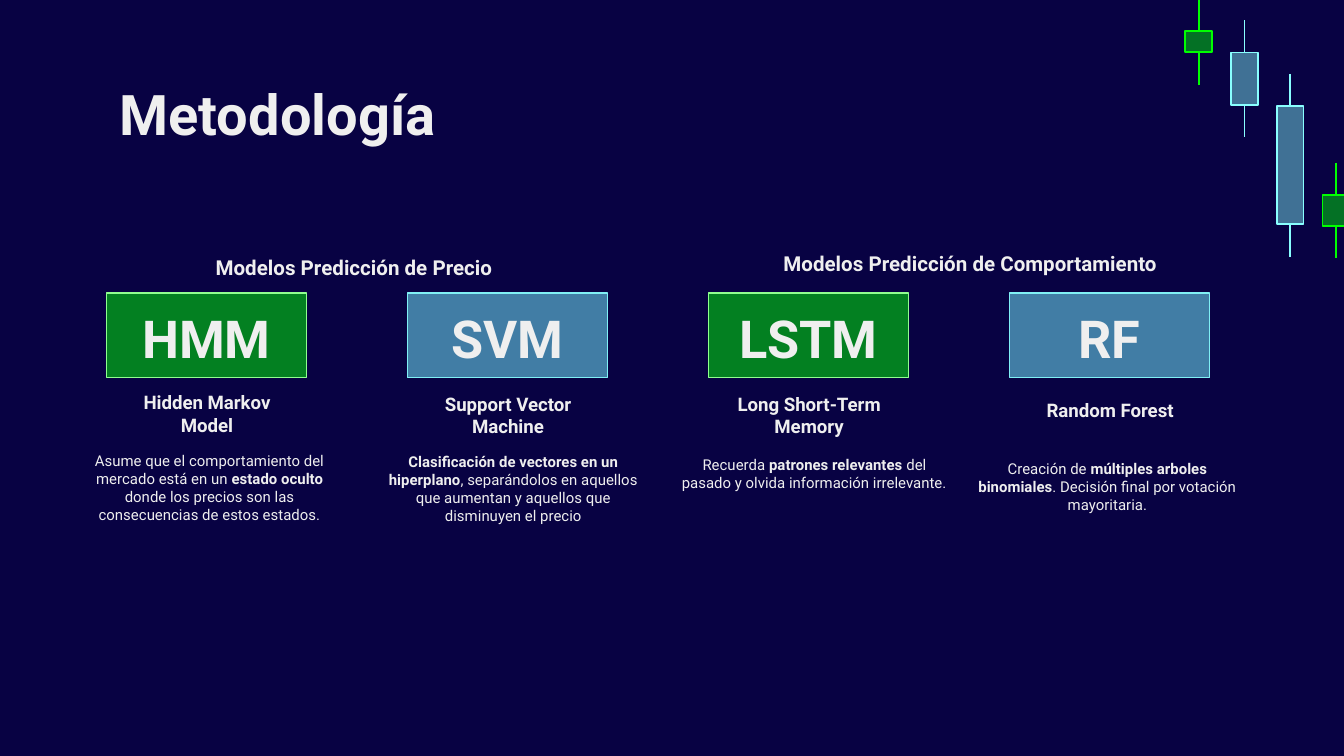
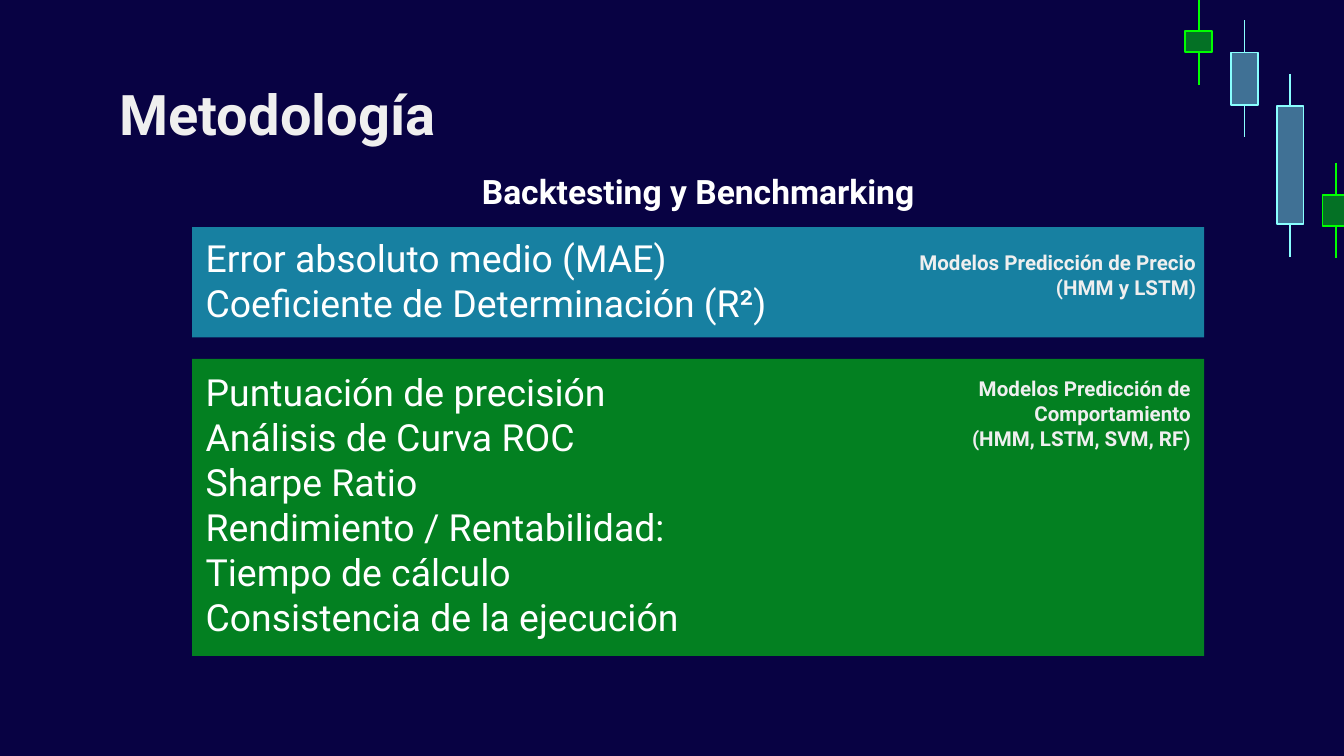
from lxml.etree import SubElement
from pptx import Presentation
from pptx.dml.color import RGBColor
from pptx.enum.shapes import MSO_CONNECTOR, MSO_SHAPE
from pptx.enum.text import MSO_ANCHOR, MSO_AUTO_SIZE, PP_ALIGN
from pptx.oxml.ns import qn
from pptx.util import Inches, Pt

NAVY = RGBColor(0x08, 0x02, 0x43)
PALE = RGBColor(0xEF, 0xEF, 0xEF)
WHITE = RGBColor(0xFF, 0xFF, 0xFF)
GREEN = RGBColor(0x00, 0xFF, 0x00)
MINT = RGBColor(0x90, 0xFF, 0x90)
CYAN = RGBColor(0x89, 0xFF, 0xFF)
AQUA = RGBColor(0x27, 0xFF, 0xFF)
STEEL = RGBColor(0x41, 0x7D, 0xA5)
ICE = RGBColor(0x80, 0xF0, 0xF5)
FONT = "Roboto"

CANDLES = [(0.23, 0.16, GREEN), (0.39, 0.39, CYAN),
           (0.79, 0.88, CYAN), (1.45, 0.23, GREEN)]

CARDS = [
    ("HMM", "Hidden Markov Model", 0.63, -0.34, 1.08,
     "Asume que el comportamiento del mercado está en un *estado oculto *"
     "donde los precios son las consecuencias de estos estados."),
    ("SVM", "Support Vector Machine", 0.64, -0.32, 1.09,
     "*Clasificación de vectores en un hiperplano*, separándolos en aquellos "
     "que aumentan y aquellos que disminuyen el precio"),
    ("LSTM", "Long Short-Term Memory", 0.64, -0.32, 1.11,
     "Recuerda *patrones relevantes *del pasado y olvida información irrelevante."),
    ("RF", "Random Forest", 0.69, -0.38, 1.14,
     "Creación de *múltiples arboles binomiales*. Decisión final por votación "
     "mayoritaria."),
]

PRICE = ["Error absoluto medio (MAE)", "Coeficiente de Determinación (R²)"]
TREND = ["Puntuación de precisión", "Análisis de Curva ROC", "Sharpe Ratio",
         "Rendimiento / Rentabilidad:", "Tiempo de cálculo",
         "Consistencia de la ejecución"]


def write(frame, lines, size=11, color=PALE, bold=True, align=PP_ALIGN.CENTER, pad=0.1):
    frame.word_wrap = True
    frame.auto_size = MSO_AUTO_SIZE.NONE
    frame.vertical_anchor = MSO_ANCHOR.TOP
    frame.margin_left = frame.margin_right = Inches(0.1)
    frame.margin_top = frame.margin_bottom = Inches(pad)
    for i, line in enumerate(lines):
        para = frame.paragraphs[0] if i == 0 else frame.add_paragraph()
        para.alignment = align
        para.space_before = Pt(0)
        for k, part in enumerate(line.split("*")):
            if part:
                run = para.add_run()
                run.text = part
                run.font.name = FONT
                run.font.size = Pt(size)
                run.font.bold = bold or k % 2 == 1
                run.font.color.rgb = color


def place(shape, *box):
    shape.left, shape.top, shape.width, shape.height = map(Inches, box)


def label(slide, box, *lines, **style):
    text = slide.shapes.add_textbox(*map(Inches, box))
    write(text.text_frame, lines, **style)


def block(slide, box, fill, alpha=100, line=None, width=0.75):
    rect = slide.shapes.add_shape(MSO_SHAPE.RECTANGLE, *map(Inches, box))
    rect.shadow.inherit = False
    rect.fill.solid()
    rect.fill.fore_color.rgb = fill
    if alpha < 100:
        tint = rect.element.spPr.find(".//" + qn("a:srgbClr"))
        SubElement(tint, qn("a:alpha")).set("val", str(alpha * 1000))
    if line is None:
        rect.line.fill.background()
    else:
        rect.line.color.rgb = line
        rect.line.width = Pt(width)
    return rect


def wick(slide, x, top, color, length=0.24):
    stem = slide.shapes.add_connector(
        MSO_CONNECTOR.STRAIGHT, *map(Inches, (x, top, x, top + length)))
    stem.line.color.rgb = color
    stem.line.width = Pt(1)
    SubElement(stem.element.spPr, qn("a:effectLst"))
    return stem


def candles(slide, master, left=8.82, step=0.34):
    for i, (top, high, color) in enumerate(CANDLES):
        x = left + i * step
        parts = [block(slide, (x, top, 0.2, high), color, 44, color, 1),
                 wick(slide, x + 0.1, top - 0.24, color),
                 wick(slide, x + 0.1, top + high, color)]
        for part in parts:
            master.shapes.element.append(part.element)


def start(deck, kind):
    slide = deck.slides.add_slide(deck.slide_layouts.get_by_name(kind))
    title = slide.shapes.title
    place(title, 0.79, 0.49, 8.43, 0.63)
    write(title.text_frame, ["Metodología"], size=30, align=PP_ALIGN.LEFT)
    return slide


def card(slide, x, y, fill, alpha, line, data):
    short, name, drop, shift, fall, note = data
    box = (x, y, 1.49, 0.63)
    block(slide, box, fill, alpha, line)
    label(slide, box, short, size=28)
    label(slide, (x, y + drop, 1.5, 0.39), name, size=10)
    label(slide, (x + shift, y + fall, 2.22, 1.34), note, size=8, bold=False)


def models(slide, left=0.79, top=2.18, step=2.24):
    label(slide, (left + 0.11, top - 0.38, 3.47, 0.63), "Modelos Predicción de Precio")
    label(slide, (left + 4.7, top - 0.41, 3.46, 0.63),
          "Modelos Predicción de Comportamiento")
    looks = [(GREEN, 50, MINT), (STEEL, 100, ICE)]
    for i, data in enumerate(CARDS):
        card(slide, left + i * step, top, *looks[i % 2], data)


def metrics(slide, left=1.43, top=1.69, wide=7.53):
    label(slide, (left, top - 0.47, wide, 0.4), "Backtesting y Benchmarking",
          size=18, color=WHITE, pad=0.05)
    block(slide, (left, top, wide, 0.82), AQUA, 50)
    block(slide, (left, top + 0.98, wide, 2.21), GREEN, 50)
    label(slide, (left + 4.1, top + 0.07, 3.47, 0.63),
          "Modelos Predicción de Precio", "(HMM y LSTM)", align=PP_ALIGN.RIGHT)
    label(slide, (left + 4.06, top + 1.01, 3.47, 0.63), "Modelos Predicción de",
          "Comportamiento", "(HMM, LSTM, SVM, RF)", align=PP_ALIGN.RIGHT)
    body = slide.placeholders[1]
    place(body, left, top + 0.01, 4.77, 3.13)
    write(body.text_frame, PRICE + TREND, size=20, color=WHITE, bold=False,
          align=PP_ALIGN.LEFT, pad=0.05)
    for para in body.text_frame.paragraphs:
        props = para._p.get_or_add_pPr()
        props.set("marL", "0")
        props.set("indent", "0")
        SubElement(props, qn("a:buNone"))
    body.text_frame.paragraphs[len(PRICE)].space_before = Pt(24)
    slide.shapes.element.append(body.element)


def main():
    deck = Presentation()
    deck.slide_width = Inches(10)
    deck.slide_height = deck.slide_width * 9 // 16
    master = deck.slide_master
    master.background.fill.solid()
    master.background.fill.fore_color.rgb = NAVY
    first = start(deck, "Title Only")
    candles(first, master)
    models(first)
    metrics(start(deck, "Title and Content"))
    deck.save("out.pptx")


if __name__ == "__main__":
    main()
